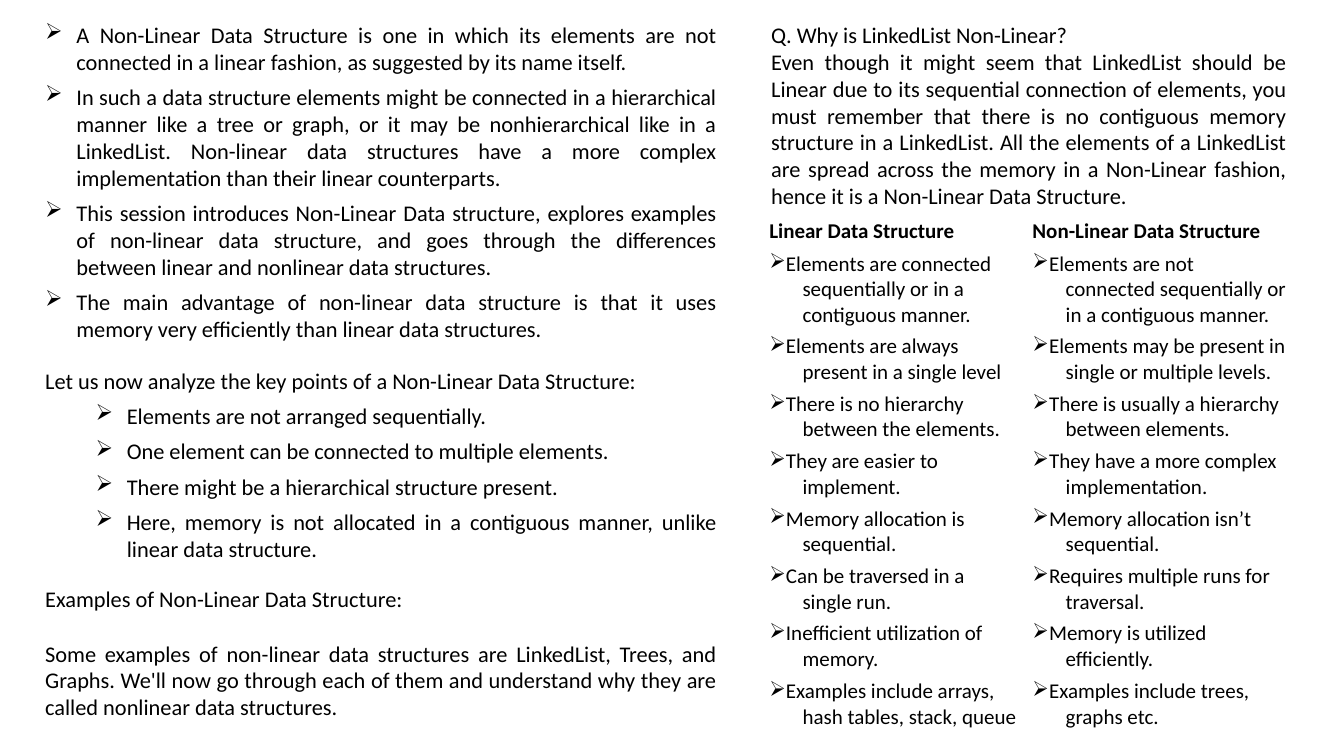
from dataclasses import dataclass

from lxml.etree import SubElement
from pptx import Presentation
from pptx.dml.color import RGBColor
from pptx.enum.text import MSO_ANCHOR, MSO_AUTO_SIZE, PP_ALIGN
from pptx.oxml.ns import qn
from pptx.util import Emu, Pt


@dataclass(frozen=True)
class Theme:
    """Colours, font and type sizes of the slide."""
    font: str = "Calibri"
    ink: RGBColor = RGBColor(0, 0, 0)
    paper: RGBColor = RGBColor(255, 255, 255)
    body_size: int = 16
    table_size: int = 15
    bullet: str = "➢"


@dataclass(frozen=True)
class Layout:
    """Indents in px and spacing in points of one kind of paragraph."""
    margin: int = 0
    hanging: int = 0
    before: float = 0
    level: int = 0


PLAIN = Layout()
LEAD = Layout(before=6)
BULLET = Layout(margin=31, hanging=31, before=6)
SUB_BULLET = Layout(margin=81, hanging=31, before=6, level=1)
AFTER_GAP = Layout(before=19.5)
CELL_BULLET = Layout(hanging=31)
CELL_CONTINUED = Layout(margin=33)


class SlideBuilder:
    """Draws text boxes and tables on one slide in one theme."""

    PX = 9144

    def __init__(self, presentation, theme):
        """Add a blank slide with a plain background."""
        self.theme = theme
        self.slide = presentation.slides.add_slide(presentation.slide_layouts[6])
        self.slide.background.fill.solid()
        self.slide.background.fill.fore_color.rgb = theme.paper

    @classmethod
    def px(cls, *lengths):
        """Turn px into EMU."""
        return [Emu(length * cls.PX) for length in lengths]

    def paragraph(self, frame, index, text, layout, size, align, bold=False):
        """Write one paragraph, reusing the first one of the frame."""
        paragraph = frame.add_paragraph() if index else frame.paragraphs[0]
        paragraph.alignment = align
        paragraph.level = layout.level
        paragraph.space_before = Pt(layout.before)
        margin, indent = self.px(layout.margin, -layout.hanging)
        properties = paragraph._p.get_or_add_pPr()
        properties.set("marL", str(margin))
        properties.set("indent", str(indent))
        if layout.hanging:
            SubElement(properties, qn("a:buChar")).set("char", self.theme.bullet)
        else:
            SubElement(properties, qn("a:buNone"))
        run = paragraph.add_run()
        run.text = text
        run.font.name = self.theme.font
        run.font.size = Pt(size)
        run.font.bold = bold
        run.font.color.rgb = self.theme.ink

    def text(self, box, paragraphs):
        """Add a justified text box that grows with its text."""
        frame = self.slide.shapes.add_textbox(*self.px(*box)).text_frame
        frame.word_wrap = True
        frame.auto_size = MSO_AUTO_SIZE.SHAPE_TO_FIT_TEXT
        for index, (text, layout) in enumerate(paragraphs):
            self.paragraph(frame, index, text, layout, self.theme.body_size, PP_ALIGN.JUSTIFY)

    def cell(self, cell, lines, header):
        """Fill one table cell with a heading or a bulleted entry."""
        cell.fill.background()
        cell.vertical_anchor = MSO_ANCHOR.MIDDLE
        cell.margin_left, cell.margin_top, cell.margin_right, cell.margin_bottom = self.px(8, 3, 8, 4)
        for index, line in enumerate(lines):
            layout = PLAIN if header else CELL_CONTINUED if index else CELL_BULLET
            self.paragraph(cell.text_frame, index, line, layout,
                           self.theme.table_size, PP_ALIGN.LEFT, header)

    def table(self, box, widths, heights, rows):
        """Add an unbanded table whose first row is a bold header."""
        table = self.slide.shapes.add_table(len(rows), len(widths), *self.px(*box)).table
        table.first_row = table.horz_banding = False
        for column, width in zip(table.columns, self.px(*widths)):
            column.width = width
        for row, height in zip(table.rows, self.px(*heights)):
            row.height = height
        for row_index, row in enumerate(rows):
            for column_index, lines in enumerate(row):
                self.cell(table.cell(row_index, column_index), lines, row_index == 0)


DEFINITION = [
    "A Non-Linear Data Structure is one in which its elements are not connected in a linear "
    "fashion, as suggested by its name itself.",
    "In such a data structure elements might be connected in a hierarchical manner like a tree "
    "or graph, or it may be nonhierarchical like in a LinkedList. Non-linear data structures "
    "have a more complex implementation than their linear counterparts.",
    "This session introduces Non-Linear Data structure, explores examples of non-linear data "
    "structure, and goes through the differences between linear and nonlinear data structures.",
    "The main advantage of non-linear data structure is that it uses memory very efficiently "
    "than linear data structures.",
]
KEY_POINTS = [
    "Elements are not arranged sequentially.",
    "One element can be connected to multiple elements.",
    "There might be a hierarchical structure present.",
    "Here, memory is not allocated in a contiguous manner, unlike linear data structure.",
]
EXAMPLES = [
    ("Examples of Non-Linear Data Structure:", PLAIN),
    ("Some examples of non-linear data structures are LinkedList, Trees, and Graphs. We'll now "
     "go through each of them and understand why they are called nonlinear data structures.",
     AFTER_GAP),
]
QUESTION = [
    ("Q. Why is LinkedList Non-Linear?", PLAIN),
    ("Even though it might seem that LinkedList should be Linear due to its sequential "
     "connection of elements, you must remember that there is no contiguous memory structure "
     "in a LinkedList. All the elements of a LinkedList are spread across the memory in a "
     "Non-Linear fashion, hence it is a Non-Linear Data Structure.", PLAIN),
]
COMPARISON = [
    (["Linear Data Structure"], ["Non-Linear Data Structure"]),
    (["Elements are connected", "sequentially or in a", "contiguous manner."],
     ["Elements are not", "connected sequentially or", "in a contiguous manner."]),
    (["Elements are always", "present in a single level"],
     ["Elements may be present in", "single or multiple levels."]),
    (["There is no hierarchy", "between the elements."],
     ["There is usually a hierarchy", "between elements."]),
    (["They are easier to", "implement."], ["They have a more complex", "implementation."]),
    (["Memory allocation is", "sequential."], ["Memory allocation isn’t", "sequential."]),
    (["Can be traversed in a", "single run."], ["Requires multiple runs for", "traversal."]),
    (["Inefficient utilization of", "memory."], ["Memory is utilized", "efficiently."]),
    (["Examples include arrays,", "hash tables, stack, queue"],
     ["Examples include trees,", "graphs etc."]),
]


def main():
    """Build the slide and save it."""
    presentation = Presentation()
    presentation.slide_width, presentation.slide_height = SlideBuilder.px(1333, 750)
    builder = SlideBuilder(presentation, Theme())
    builder.text((35, 16, 686, 332), [(point, BULLET) for point in DEFINITION])
    builder.text((35, 359, 686, 205),
                 [("Let us now analyze the key points of a Non-Linear Data Structure:", LEAD)]
                 + [(point, SUB_BULLET) for point in KEY_POINTS])
    builder.text((35, 576, 686, 145), EXAMPLES)
    builder.text((755, 16, 531, 199), QUESTION)
    builder.table((755, 214, 544, 477), (261, 283), [30, 76] + [53] * 7, COMPARISON)
    presentation.save("out.pptx")


if __name__ == "__main__":
    main()
